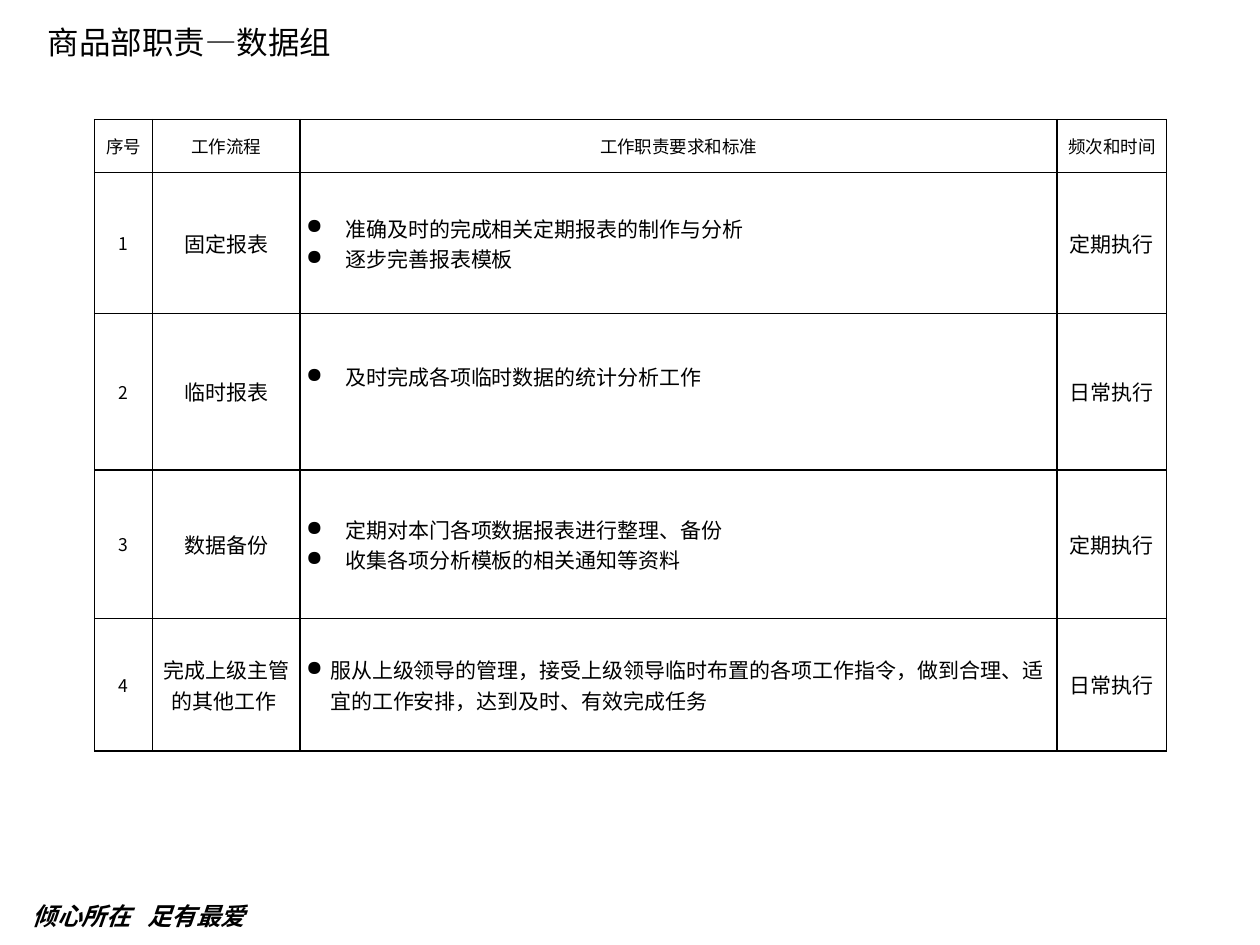
from lxml import etree
from pptx import Presentation
from pptx.dml.color import RGBColor
from pptx.enum.text import MSO_ANCHOR, PP_ALIGN
from pptx.oxml.ns import qn
from pptx.util import Inches, Pt

MIDDLE = MSO_ANCHOR.MIDDLE
LEFT, CENTER = PP_ALIGN.LEFT, PP_ALIGN.CENTER
FONT = "Noto Sans CJK SC"
BLACK = "000000"


def color(hex_value):
    return RGBColor.from_string(hex_value)


def format_text(paragraph, size, align=LEFT, strong=False):
    paragraph.alignment = align
    for run in paragraph.runs:
        run.font.size = Pt(size)
        run.font.bold = run.font.italic = strong
        run.font.color.rgb = color(BLACK)
        run.font.name = FONT
        etree.SubElement(run.font._element, qn("a:ea"), typeface=FONT)


deck = Presentation()
deck.slide_width, deck.slide_height = Inches(10), Inches(7.5)
slide = deck.slides.add_slide(deck.slide_layouts[5])

# Title
title = slide.shapes.title
title.left, title.top = Inches(0.28), Inches(0.13)
title.width, title.height = Inches(3.86), Inches(0.4)
title.text_frame.text = "商品部职责—数据组"
title.text_frame.vertical_anchor = MIDDLE
format_text(title.text_frame.paragraphs[0], 18)

# Slogan, its second half set at a tab stop
slogan = slide.shapes.add_textbox(Inches(0.16), Inches(7.1), Inches(2.47), Inches(0.32))
slogan.text_frame.word_wrap = True
slogan.text_frame.text = "倾心所在\t足有最爱"
slogan_line = slogan.text_frame.paragraphs[0]
tabs = etree.SubElement(slogan_line._p.get_or_add_pPr(), qn("a:tabLst"))
etree.SubElement(tabs, qn("a:tab"), pos=str(Inches(0.91)), algn="l")
format_text(slogan_line, 14, strong=True)

# Duties table: number, process, requirements, timing
headings = ["序号", "工作流程", "工作职责要求和标准", "频次和时间"]
duties = [
    ("固定报表", ["准确及时的完成相关定期报表的制作与分析", "逐步完善报表模板"], "定期执行"),
    ("临时报表", ["及时完成各项临时数据的统计分析工作"], "日常执行"),
    ("数据备份", ["定期对本门各项数据报表进行整理、备份", "收集各项分析模板的相关通知等资料"], "定期执行"),
    ("完成上级主管的其他工作 ",
     ["服从上级领导的管理，接受上级领导临时布置的各项工作指令，"
      "做到合理、适宜的工作安排，达到及时、有效完成任务"], "日常执行"),
]
rows = [headings] + [
    [str(number), process, "\n".join(requirements), timing]
    for number, (process, requirements, timing) in enumerate(duties, 1)
]
column_widths = [0.46, 1.17, 6.01, 0.87]
row_heights = [0.42, 1.12, 1.24, 1.18, 1.05]
table = slide.shapes.add_table(
    len(rows), len(headings), Inches(0.75), Inches(0.95),
    Inches(sum(column_widths)), Inches(sum(row_heights))).table
table.first_row = table.horz_banding = False
for column, width in zip(table.columns, column_widths):
    column.width = Inches(width)
for row, height in zip(table.rows, row_heights):
    row.height = Inches(height)

for r, texts in enumerate(rows):
    for c, text in enumerate(texts):
        cell = table.cell(r, c)
        cell.text_frame.text = text
        cell.vertical_anchor = MIDDLE
        cell.margin_left = cell.margin_right = Inches(0.05)
        cell.margin_top = cell.margin_bottom = 0
        for side in ("lnL", "lnR", "lnT", "lnB"):
            border = etree.SubElement(cell._tc.get_or_add_tcPr(), qn(f"a:{side}"), w=str(Pt(1)))
            line_fill = etree.SubElement(border, qn("a:solidFill"))
            etree.SubElement(line_fill, qn("a:srgbClr"), val=BLACK)
        cell.fill.background()

        bulleted = r > 0 and c == 2
        for paragraph in cell.text_frame.paragraphs:
            if bulleted:
                indent = Inches(0.19 if r == len(duties) else 0.31)
                properties = paragraph._p.get_or_add_pPr()
                properties.set("marL", str(indent))
                properties.set("indent", str(-indent))
                etree.SubElement(properties, qn("a:buChar"), char="●")
            format_text(paragraph, 10 if r == 0 or c == 0 else 12,
                        LEFT if bulleted else CENTER)

# The single requirement of the second duty sits above the middle
table.cell(2, 2).margin_bottom = Inches(0.24)

deck.save("out.pptx")
